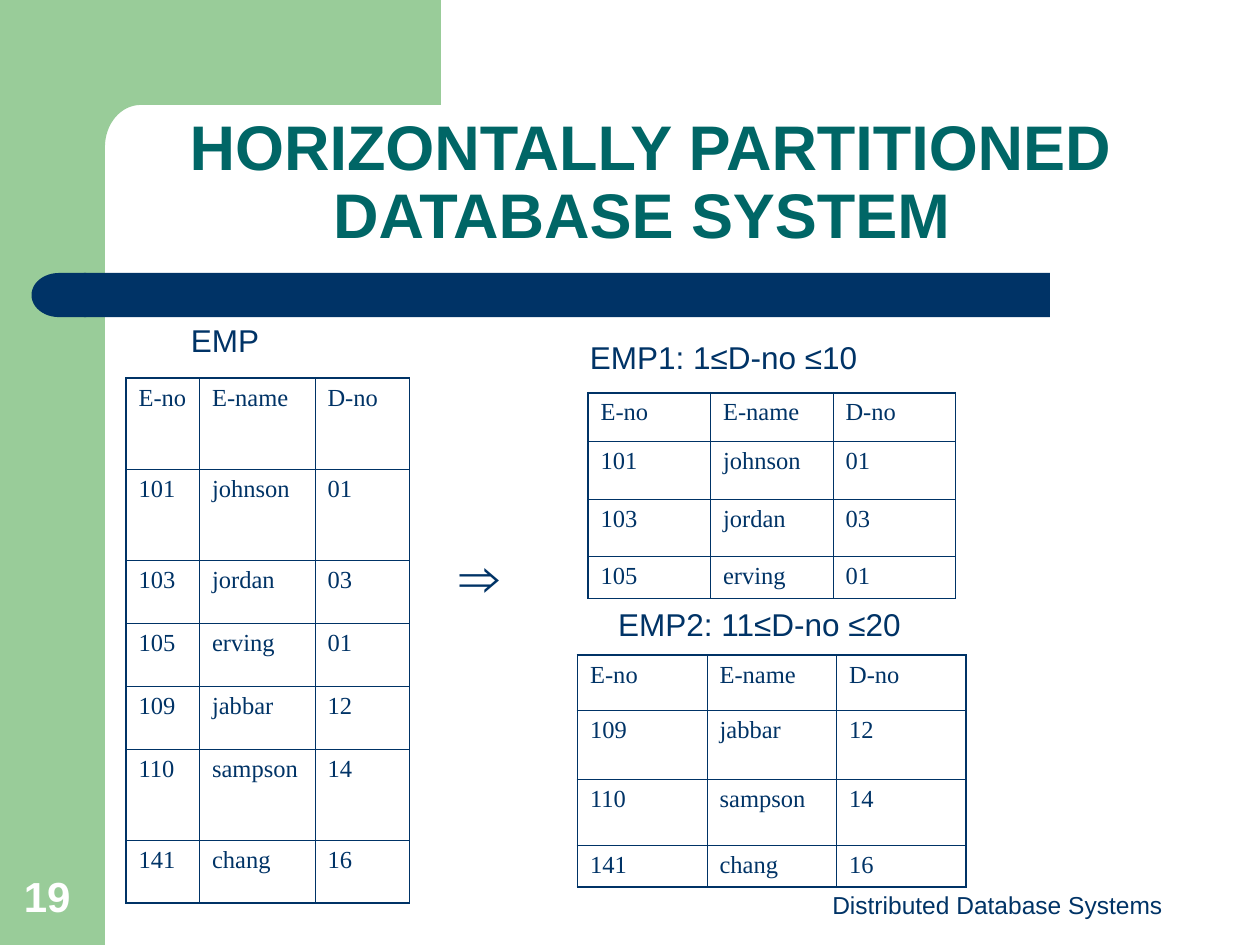
from dataclasses import dataclass
from math import cos, pi, sin

from lxml.etree import SubElement
from pptx import Presentation
from pptx.dml.color import RGBColor
from pptx.enum.shapes import MSO_SHAPE
from pptx.enum.text import MSO_ANCHOR, MSO_AUTO_SIZE, PP_ALIGN
from pptx.oxml.ns import qn
from pptx.util import Inches, Length, Pt

GREEN = RGBColor(0x99, 0xCC, 0x99)
NAVY = RGBColor(0x00, 0x33, 0x66)
TEAL = RGBColor(0x00, 0x66, 0x66)
WHITE = RGBColor(0xFF, 0xFF, 0xFF)
OUTER_LINE, INNER_LINE = Pt(1.08), Pt(0.45)


@dataclass(frozen=True)
class Box:
    """A place on a grid of 120 columns and 90 rows."""
    column: float
    row: float
    width: float
    height: float

    def lengths(self) -> list[Length]:
        return [grid(n) for n in (self.column, self.row, self.width, self.height)]


@dataclass(frozen=True)
class Label:
    text: str
    box: Box
    size: float = 18
    color: RGBColor = NAVY
    bold: bool = False
    align: PP_ALIGN = PP_ALIGN.LEFT
    anchor: MSO_ANCHOR = MSO_ANCHOR.TOP


@dataclass(frozen=True)
class Relation:
    box: Box
    column_widths: tuple[float, ...]
    row_heights: tuple[float, ...]
    records: list[tuple[str, str, str]]


HEADER = ("E-no", "E-name", "D-no")
EMPLOYEES = [
    ("101", "johnson", "01"),
    ("103", "jordan", "03"),
    ("105", "erving", "01"),
    ("109", "jabbar", "12"),
    ("110", "sampson", "14"),
    ("141", "chang", "16"),
]
FIRST_PART = [record for record in EMPLOYEES if int(record[2]) <= 10]
SECOND_PART = [record for record in EMPLOYEES if int(record[2]) > 10]

RELATIONS = [
    Relation(Box(12, 36, 27, 50), (7, 11, 9),
             (8.67, 8.67, 6, 6, 6, 8.67, 6), EMPLOYEES),
    Relation(Box(56, 37.4, 35, 19.6), (35 / 3,) * 3,
             (4.6, 5.6, 5.4, 4), FIRST_PART),
    Relation(Box(55, 62.4, 37, 22.1), (37 / 3,) * 3,
             (5.25, 6.6, 6.3, 3.95), SECOND_PART),
]
LABELS = [
    Label("EMP", Box(17, 30, 24, 4.8)),
    Label("EMP1: 1≤D-no ≤10", Box(55, 31.6, 36.2, 4.8)),
    Label("EMP2: 11≤D-no ≤20", Box(57.7, 57, 31, 4.8)),
    Label("⇒", Box(42.6, 51, 7.5, 7.7), size=32),
    Label("19", Box(1.1, 82, 7.7, 6.3), size=24, color=WHITE, bold=True,
          anchor=MSO_ANCHOR.BOTTOM),
    Label("Distributed Database Systems", Box(76, 82, 38, 6.2), size=14,
          align=PP_ALIGN.CENTER, anchor=MSO_ANCHOR.BOTTOM),
]


def grid(units: float) -> Length:
    return Inches(units / 12)


def paint(shape, color: RGBColor) -> None:
    shape.shadow.inherit = False
    shape.fill.solid()
    shape.fill.fore_color.rgb = color
    shape.line.fill.background()


def format_text(text_frame, size: float, color: RGBColor, bold: bool = False,
                font_name: str = "Arial") -> None:
    for paragraph in text_frame.paragraphs:
        for run in paragraph.runs:
            run.font.name = font_name
            run.font.size = Pt(size)
            run.font.bold = bold
            run.font.color.rgb = color


def draw_background(slide) -> None:
    # Left band and the corner block with its rounded inner edge
    band = slide.shapes.add_shape(MSO_SHAPE.RECTANGLE, *Box(0, 0, 10, 90).lengths())
    paint(band, GREEN)
    radius_x, radius_y, steps = 3.4, 4, 16
    angles = [pi / 2 * step / steps for step in range(steps + 1)]
    curve = [(10 + radius_x * (1 - sin(angle)), 10 + radius_y * (1 - cos(angle)))
             for angle in angles]
    outline = [(42, 0), (42, 10), *curve, (10, 15.4), (6, 15.4)]
    builder = slide.shapes.build_freeform(grid(6), 0)
    builder.add_line_segments([(grid(x), grid(y)) for x, y in outline], close=True)
    paint(builder.convert_to_shape(), GREEN)

    # Bar under the title with its rounded left end
    bar = slide.shapes.add_shape(MSO_SHAPE.RECTANGLE, *Box(8, 26, 92, 4.2).lengths())
    paint(bar, NAVY)
    cap = slide.shapes.add_shape(MSO_SHAPE.FLOWCHART_DELAY, *Box(3, 26, 5.2, 4.2).lengths())
    paint(cap, NAVY)
    cap.element.spPr.find(qn("a:xfrm")).set("flipH", "1")


def draw_title(slide) -> None:
    title = slide.shapes.title
    title.left, title.top, title.width, title.height = Box(10.9, 10.9, 102.1, 13.1).lengths()
    text_frame = title.text_frame
    text_frame.text = "HORIZONTALLY PARTITIONED DATABASE SYSTEM "
    text_frame.auto_size = MSO_AUTO_SIZE.NONE
    text_frame.vertical_anchor = MSO_ANCHOR.BOTTOM
    text_frame.margin_left = text_frame.margin_right = 0
    text_frame.margin_top = text_frame.margin_bottom = 0
    text_frame.paragraphs[0].alignment = PP_ALIGN.CENTER
    text_frame.paragraphs[0].line_spacing = 0.9
    format_text(text_frame, 36, TEAL, bold=True)


def draw_label(slide, label: Label) -> None:
    text_frame = slide.shapes.add_textbox(*label.box.lengths()).text_frame
    text_frame.word_wrap = True
    text_frame.vertical_anchor = label.anchor
    text_frame.text = label.text
    text_frame.paragraphs[0].alignment = label.align
    format_text(text_frame, label.size, label.color, label.bold)


def set_borders(cell, widths: dict[str, Length]) -> None:
    properties = cell._tc.get_or_add_tcPr()
    for side, width in widths.items():
        line = SubElement(properties, qn(f"a:ln{side}"), w=str(int(width)))
        fill = SubElement(line, qn("a:solidFill"))
        SubElement(fill, qn("a:srgbClr"), val=str(NAVY))


def draw_relation(slide, relation: Relation) -> None:
    rows = [HEADER, *relation.records]
    last_row, last_column = len(rows) - 1, len(HEADER) - 1
    table = slide.shapes.add_table(len(rows), len(HEADER), *relation.box.lengths()).table
    table.first_row = table.horz_banding = False
    for column, width in zip(table.columns, relation.column_widths):
        column.width = grid(width)
    for row, height in zip(table.rows, relation.row_heights):
        row.height = grid(height)
    for row_index, values in enumerate(rows):
        for column_index, value in enumerate(values):
            cell = table.cell(row_index, column_index)
            cell.text_frame.text = value
            format_text(cell.text_frame, 14, NAVY, font_name="Times New Roman")
            outer = {"L": column_index == 0, "R": column_index == last_column,
                     "T": row_index == 0, "B": row_index == last_row}
            set_borders(cell, {side: OUTER_LINE if is_outer else INNER_LINE
                               for side, is_outer in outer.items()})
            cell.fill.background()


def main() -> None:
    presentation = Presentation()
    presentation.slide_width, presentation.slide_height = grid(120), grid(90)
    slide = presentation.slides.add_slide(presentation.slide_layouts[5])
    draw_background(slide)
    draw_title(slide)
    for relation in RELATIONS:
        draw_relation(slide, relation)
    for label in LABELS:
        draw_label(slide, label)
    presentation.save("out.pptx")


if __name__ == "__main__":
    main()
